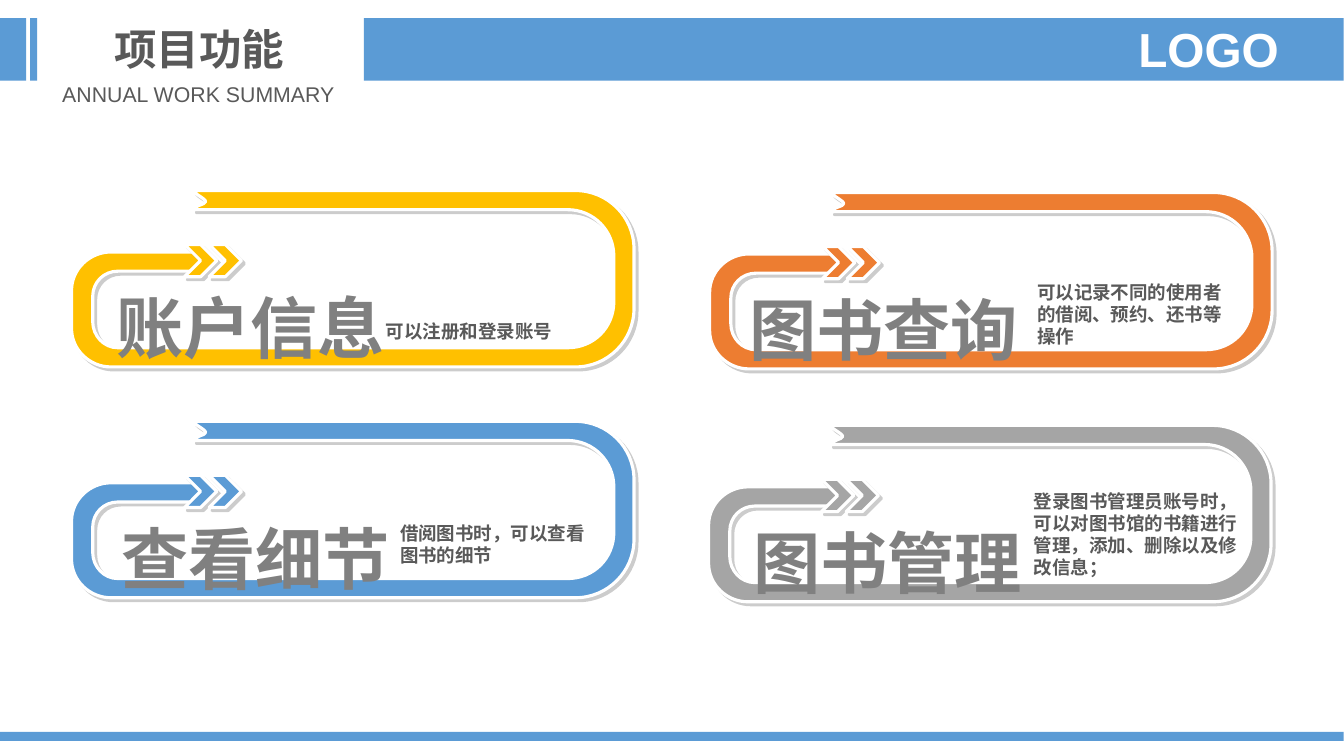
from collections import namedtuple

from lxml.etree import SubElement
from pptx import Presentation
from pptx.dml.color import RGBColor
from pptx.enum.shapes import MSO_SHAPE as Preset
from pptx.enum.text import MSO_ANCHOR as Anchor, MSO_AUTO_SIZE as AutoSize, PP_ALIGN as Align
from pptx.oxml.ns import qn
from pptx.oxml.xmlchemy import OxmlElement
from pptx.util import Inches, Pt

BLUE = RGBColor(0x5B, 0x9B, 0xD5)
YELLOW = RGBColor(0xFF, 0xC0, 0x00)
ORANGE = RGBColor(0xED, 0x7D, 0x31)
SILVER = RGBColor(0xA5, 0xA5, 0xA5)
WHITE = RGBColor(0xFF, 0xFF, 0xFF)
HEADING_GRAY = RGBColor(0x80, 0x80, 0x80)
TEXT_GRAY = RGBColor(0x59, 0x59, 0x59)

SLIDE_W, SLIDE_H = Inches(40) // 3, Inches(7.5)
COLUMN = ROW = SLIDE_H / 75

Box = namedtuple("Box", "left top width height")
Feature = namedtuple("Feature", "heading detail color left top heading_left heading_width detail_box")

FEATURES = [
    Feature("图书查询", "可以记录不同的使用者的借阅、预约、还书等操作",
            ORANGE, 70.4, 19.1, 2.5, 29.5, Box(31.5, 8.3, 22, 7.7)),
    Feature("图书管理", "登录图书管理员账号时，可以对图书馆的书籍进行管理，添加、删除以及修改信息；",
            SILVER, 70.3, 42.2, 3.3, 28.9, Box(31.3, 5.9, 22.6, 9.9)),
    Feature("账户信息", "可以注册和登录账号",
            YELLOW, 7.1, 18.9, 3.3, 28.9, Box(30.2, 12.4, 25.1, 3.2)),
    Feature("查看细节", "借阅图书时，可以查看图书的细节",
            BLUE, 7.1, 41.8, 2.9, 30.7, Box(31.6, 9.5, 20.8, 5.5)),
]

RIBBON_START = (12.1, 0)
RIBBON_STEPS = [
    [(50, 0)], [(53.2, 0), (55.8, 2.6), (55.8, 5.8)],
    [(55.8, 11.7)], [(55.8, 14.9), (53.2, 17.5), (50, 17.5)],
    [(12.8, 17.5)], [(12.1, 17.5)],
    [(3.9, 17.5)], [(1.8, 17.5), (0, 15.8), (0, 13.7)],
    [(0, 9.9)], [(0, 7.8), (1.8, 6.1), (3.9, 6.1)],
    [(12.8, 6.1)], [(12.8, 8)],
    [(4.6, 8)], [(3.2, 8), (2.1, 9.1), (2.1, 10.5)],
    [(2.1, 13)], [(2.1, 14.4), (3.2, 15.6), (4.6, 15.6)],
    [(12.8, 15.6)],
    [(49.2, 15.6)], [(51.8, 15.6), (53.8, 13.6), (53.8, 11)],
    [(53.8, 6.5)], [(53.8, 4), (51.8, 1.9), (49.2, 1.9)],
    [(12.1, 1.9)], [(12.1, 1.5), (13.3, 1.4), (13.3, 1.1)],
    [(13.3, 0.8), (12.1, 0.3), (12.1, 0)],
]


def grid(box):
    return [round(cells * unit) for cells, unit in zip(box, (COLUMN, ROW, COLUMN, ROW))]


def inside(frame, box):
    return Box(frame.left + box.left, frame.top + box.top, box.width, box.height)


def style_text(holder, text, size, color, font, bold=True, align=Align.LEFT,
               wrap=True, anchor=Anchor.TOP):
    frame = holder.text_frame
    frame.text = text
    frame.word_wrap = wrap
    frame.auto_size = AutoSize.NONE
    frame.vertical_anchor = anchor
    paragraph = frame.paragraphs[0]
    paragraph.alignment = align
    run_font = paragraph.runs[0].font
    run_font.name, run_font.size, run_font.bold = font, Pt(size), bold
    run_font.color.rgb = color
    return frame


def add_label(shapes, box, *args, **options):
    return style_text(shapes.add_textbox(*grid(box)), *args, **options)


def add_bar(shapes, box):
    bar = shapes.add_shape(Preset.RECTANGLE, *grid(box))
    bar.shadow.inherit = False
    bar.fill.solid()
    bar.fill.fore_color.rgb = BLUE
    bar.line.fill.background()


def style_sticker(shape, color):
    shape.fill.solid()
    shape.fill.fore_color.rgb = color
    shape.line.color.rgb = WHITE
    shape.line.width = Pt(2.25)
    shape.shadow.inherit = False
    effects = shape.element.spPr.find(qn("a:effectLst"))
    shadow = SubElement(effects, qn("a:outerShdw"), blurRad="0", dist=str(Pt(3)),
                        dir="2700000", algn="tl", rotWithShape="0")
    tint = SubElement(shadow, qn("a:srgbClr"), val="000000")
    SubElement(tint, qn("a:alpha"), val="20000")


def add_ribbon(shapes, frame):
    def place(point):
        return (frame.left + point[0]) * COLUMN, (frame.top + point[1]) * ROW

    builder = shapes.build_freeform(*place(RIBBON_START))
    builder.add_line_segments([place(point) for step in RIBBON_STEPS for point in step])
    ribbon = builder.convert_to_shape()
    outline = ribbon.element.find(".//" + qn("a:path"))
    segments = iter(outline.findall(qn("a:lnTo")))
    for step in RIBBON_STEPS:
        pieces = [next(segments) for _ in step]
        if len(pieces) == 3:
            curve = OxmlElement("a:cubicBezTo")
            pieces[0].addprevious(curve)
            for piece in pieces:
                curve.append(piece[0])
                outline.remove(piece)
    return ribbon


def add_feature(slide, feature, frame):
    add_label(slide.shapes, inside(frame, feature.detail_box), feature.detail,
              13.2, TEXT_GRAY, "Times New Roman")
    parts = slide.shapes.add_group_shape().shapes
    style_sticker(add_ribbon(parts, frame), feature.color)
    for left in (11.2, 13.65):
        chevron = parts.add_shape(Preset.CHEVRON, *grid(inside(frame, Box(left, 5.35, 3.2, 3.2))))
        style_sticker(chevron, feature.color)
    heading_box = Box(feature.heading_left, 6.6, feature.heading_width, 10.5)
    heading = add_label(parts, inside(frame, heading_box), feature.heading, 48,
                        HEADING_GRAY, "Times New Roman", align=Align.CENTER)
    heading.paragraphs[0].line_spacing = 1.3


def add_header(slide, frame):
    for left, width in ((36.1, 97.2), (0, 2.6), (3, 0.7)):
        add_bar(slide.shapes, inside(frame, Box(left, 0, width, frame.height)))
    title = slide.shapes.title
    title.left, title.top, title.width, title.height = grid(inside(frame, Box(10.3, 0, 18.9, 6.1)))
    style_text(title, "项目功能", 30.4, TEXT_GRAY, "Arial",
               align=Align.CENTER, wrap=False, anchor=Anchor.MIDDLE)
    logo = add_label(slide.shapes, inside(frame, Box(110, 0.2, 19.8, 5.7)), "LOGO",
                     34.1, WHITE, "Arial", align=Align.CENTER)
    logo.margin_left = logo.margin_right = logo.margin_top = logo.margin_bottom = 0
    add_label(slide.shapes, inside(frame, Box(5.2, 5.8, 29, 3.5)), "ANNUAL WORK SUMMARY",
              15.2, TEXT_GRAY, "Arial", bold=False, align=Align.CENTER, wrap=False)


def main():
    deck = Presentation()
    deck.slide_width, deck.slide_height = SLIDE_W, SLIDE_H
    slide = deck.slides.add_slide(deck.slide_layouts[5])
    for feature in FEATURES:
        add_feature(slide, feature, Box(feature.left, feature.top, 55.8, 17.5))
    add_header(slide, Box(0, 1.8, 133.3, 6.2))
    add_bar(slide.shapes, Box(0, 72.6, 133.3, 0.9))
    deck.save("out.pptx")


if __name__ == "__main__":
    main()
